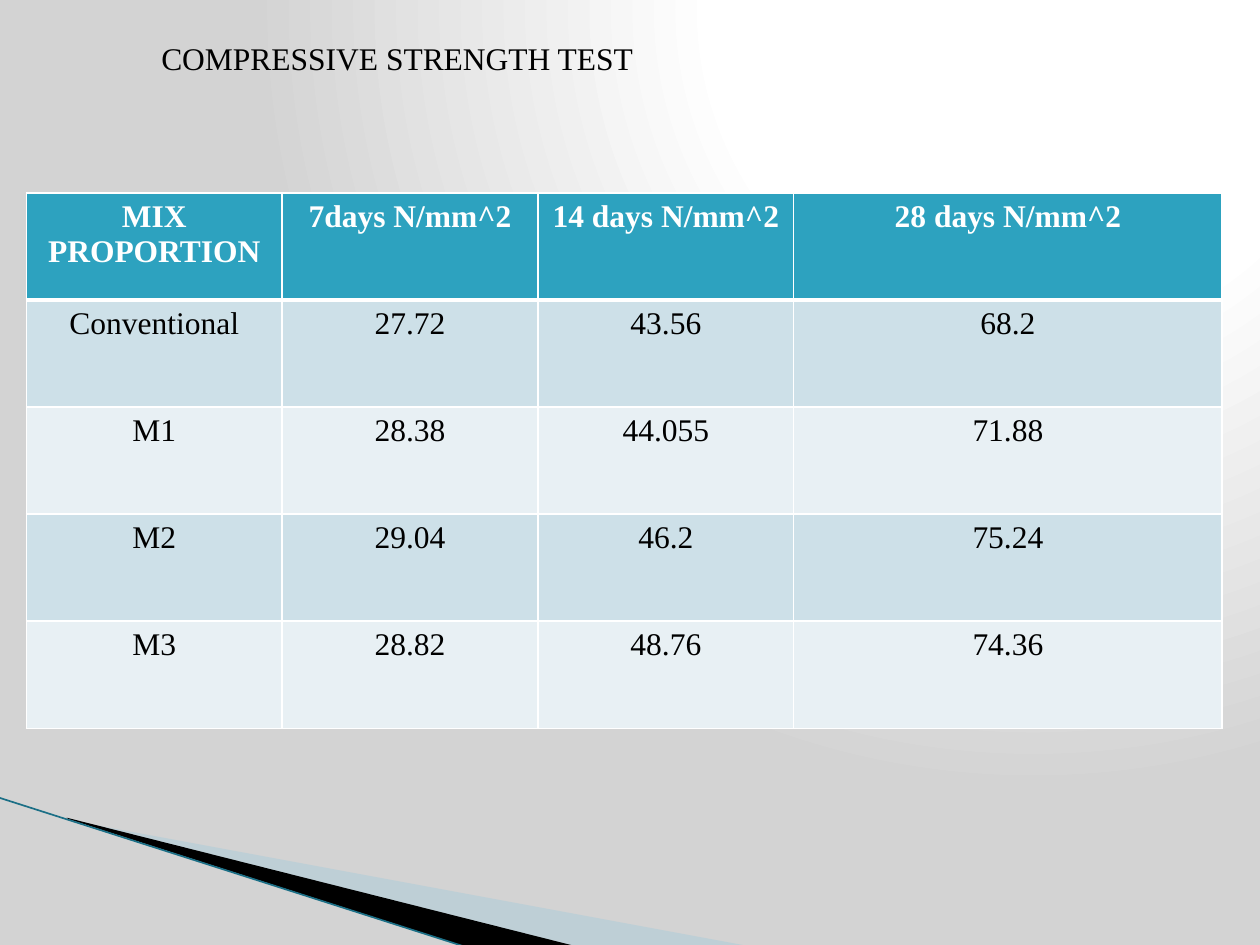
from dataclasses import dataclass

from lxml.etree import SubElement
from pptx import Presentation
from pptx.dml.color import RGBColor
from pptx.enum.text import MSO_ANCHOR as Anchor, MSO_AUTO_SIZE as AutoSize, PP_ALIGN as Align
from pptx.enum.shapes import MSO_CONNECTOR as Connector
from pptx.oxml import parse_xml
from pptx.oxml.ns import nsdecls, qn
from pptx.util import Inches, Pt

FONT = "Times New Roman"
WHITE, BLACK = "FFFFFF", "000000"
HEADER_FILL = "2DA2BF"
BAND_FILLS = ("CDE0E8", "E8F0F4")

COLUMN_WIDTHS = (2.03, 2.03, 2.03, 3.4)
ROW_HEIGHT = 0.85
ROWS = (
    ("MIX PROPORTION", "7days N/mm^2", "14 days N/mm^2", "28 days N/mm^2"),
    ("Conventional", "27.72", "43.56", "68.2"),
    ("M1", "28.38", "44.055", "71.88"),
    ("M2", "29.04", "46.2", "75.24"),
    ("M3", "28.82", "48.76", "74.36"),
)


@dataclass(frozen=True)
class Wedge:
    points: tuple[tuple[float, float], ...]
    fill: str
    opacity: int = 100


WEDGES = (
    Wedge(((0.55, 6.51), (5.95, 7.51), (4.56, 7.51), (0.55, 6.5)), "A0CBDC", 40),
    Wedge(((0.53, 6.49), (4.57, 7.51), (3.72, 7.52), (0.54, 6.5)), BLACK),
)


def color(code: str) -> RGBColor:
    return RGBColor.from_string(code)


def write(para, text: str, code: str, bold: bool = False) -> None:
    span = para.add_run()
    span.text = text
    span.font.name, span.font.size, span.font.bold = FONT, Pt(18), bold
    span.font.color.rgb = color(code)


def paint_background(page) -> None:
    stops = "".join(
        f'<a:gs pos="{share * 1000}"><a:srgbClr val="{code}"/></a:gs>'
        for share, code in ((0, WHITE), (40, WHITE), (100, "D3D3D3"))
    )
    page.element.find(qn("p:cSld")).insert(0, parse_xml(
        f'<p:bg {nsdecls("p", "a")}><p:bgPr><a:gradFill rotWithShape="1">'
        f'<a:gsLst>{stops}</a:gsLst><a:path path="circle">'
        '<a:fillToRect l="65000" t="0" r="0" b="98000"/></a:path>'
        "</a:gradFill><a:effectLst/></p:bgPr></p:bg>"
    ))


def draw_wedge(page, wedge: Wedge) -> None:
    start, *rest = [(Inches(x), Inches(y)) for x, y in wedge.points]
    builder = page.shapes.build_freeform(*start)
    builder.add_line_segments(rest, close=True)
    shape = builder.convert_to_shape()
    shape.shadow.inherit = False
    shape.fill.solid()
    shape.fill.fore_color.rgb = color(wedge.fill)
    shape.line.fill.background()
    if wedge.opacity < 100:
        tint = shape.fill._xPr.find(qn("a:solidFill"))[0]
        SubElement(tint, qn("a:alpha"), val=str(wedge.opacity * 1000))


def draw_edge(page) -> None:
    edge = page.shapes.add_connector(
        Connector.STRAIGHT, Inches(-0.01), Inches(6.33), Inches(3.71), Inches(7.52))
    edge.line.color.rgb = color("1B6F86")
    edge.line.width = Pt(0.95)
    SubElement(edge.element.spPr, qn("a:effectLst"))


def set_borders(cell, bottom: float) -> None:
    properties = cell._tc.get_or_add_tcPr()
    widths = {"lnL": 1, "lnR": 1, "lnT": 1, "lnB": bottom}
    for place, (side, width) in enumerate(widths.items()):
        properties.insert(place, parse_xml(
            f'<a:{side} {nsdecls("a")} w="{Pt(width)}"><a:solidFill>'
            f'<a:srgbClr val="{WHITE}"/></a:solidFill></a:{side}>'
        ))


def draw_table(page) -> None:
    table = page.shapes.add_table(
        len(ROWS), len(COLUMN_WIDTHS), Inches(0.21), Inches(1.53),
        Inches(sum(COLUMN_WIDTHS)), Inches(ROW_HEIGHT * len(ROWS))).table
    for column, width in zip(table.columns, COLUMN_WIDTHS):
        column.width = Inches(width)
    for index, (row, texts) in enumerate(zip(table.rows, ROWS)):
        row.height = Inches(ROW_HEIGHT)
        header = index == 0
        for cell, text in zip(row.cells, texts):
            cell.fill.solid()
            cell.fill.fore_color.rgb = color(HEADER_FILL if header else BAND_FILLS[(index - 1) % 2])
            set_borders(cell, bottom=3 if header else 1)
            para = cell.text_frame.paragraphs[0]
            para.alignment = Align.CENTER
            write(para, text, WHITE if header else BLACK, bold=header)


def place_title(page) -> None:
    box = page.shapes.title
    box.left, box.top, box.width, box.height = map(Inches, (1.18, 0.26, 6.02, 0.4))
    frame = box.text_frame
    frame.word_wrap = True
    frame.auto_size = AutoSize.SHAPE_TO_FIT_TEXT
    frame.vertical_anchor = Anchor.TOP
    para = frame.paragraphs[0]
    para.alignment = Align.LEFT
    write(para, "COMPRESSIVE STRENGTH TEST", BLACK)


def main() -> None:
    deck = Presentation()
    deck.slide_width, deck.slide_height = Inches(10), Inches(7.5)
    page = deck.slides.add_slide(deck.slide_layouts[5])
    paint_background(page)

    # Corner decoration
    for wedge in WEDGES:
        draw_wedge(page, wedge)
    draw_edge(page)

    # Content
    draw_table(page)
    place_title(page)
    deck.save("out.pptx")


if __name__ == "__main__":
    main()
